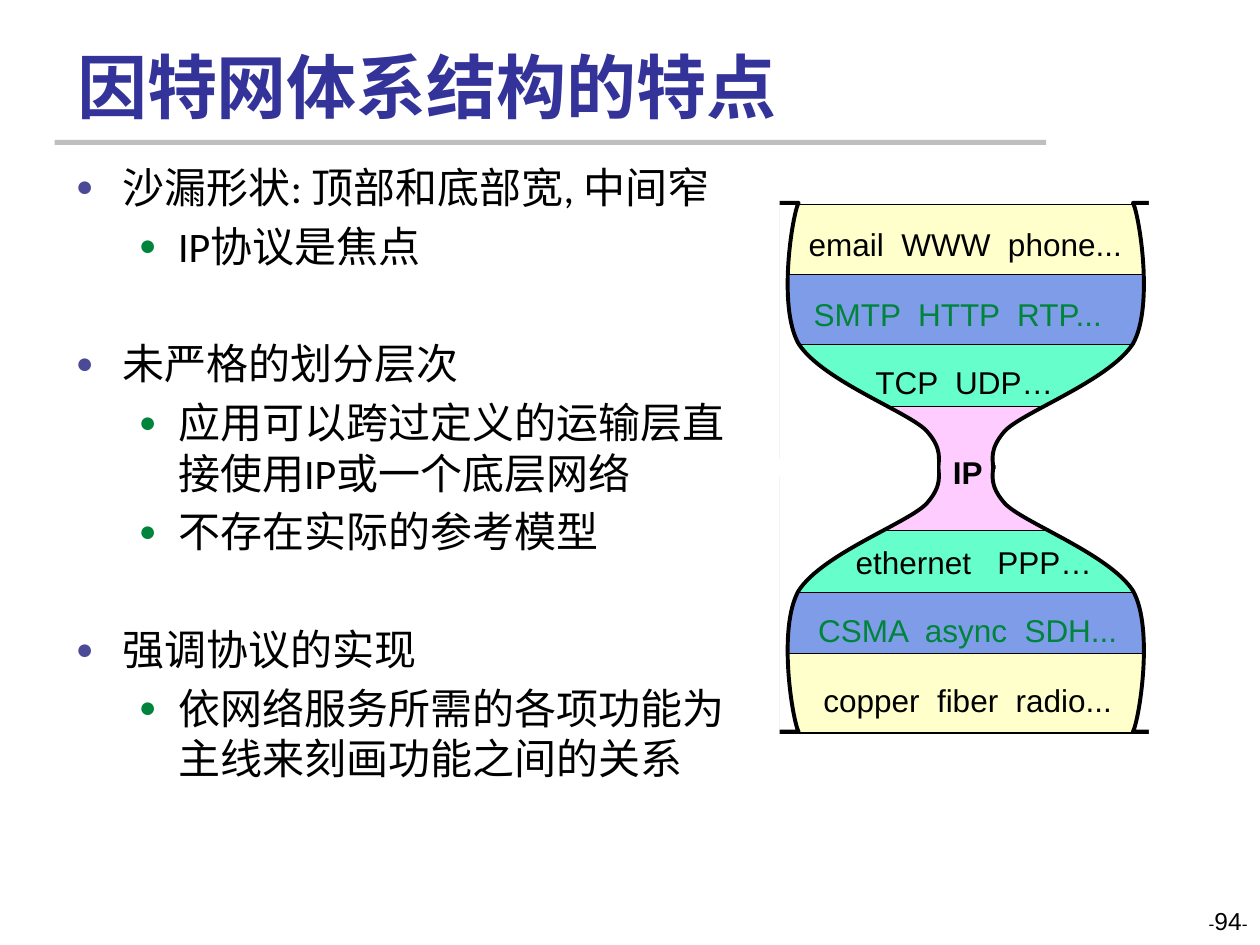
from dataclasses import dataclass

import lxml.etree
import pptx
import pptx.dml.color
import pptx.enum.lang
import pptx.enum.shapes
import pptx.enum.text
import pptx.oxml.ns
import pptx.util

Cm = pptx.util.Cm
Pt = pptx.util.Pt
qualified = pptx.oxml.ns.qn

COLORS = {
    "title": "333399",
    "rule": "BFBFBF",
    "bullet": "4A4A97",
    "green": "00843C",
    "black": "000000",
    "white": "FFFFFF",
    "cream": "FFFFCC",
    "blue": "7E9CE8",
    "mint": "66FFCC",
    "pink": "FFCCFF",
}


@dataclass
class Point:
    text: str
    level: int
    space_before: float = 4.8


@dataclass
class Layer:
    text: str
    height: float
    fill: str
    label_left: float
    label_top: float
    color: str = "black"
    bold: bool = False


POINTS = [
    Point("沙漏形状: 顶部和底部宽, 中间窄", 0, 0),
    Point("IP协议是焦点", 1),
    Point("未严格的划分层次", 0, 38.5),
    Point("应用可以跨过定义的运输层直接使用IP或一个底层网络", 1),
    Point("不存在实际的参考模型", 1),
    Point("强调协议的实现", 0, 38.5),
    Point("依网络服务所需的各项功能为主线来刻画功能之间的关系", 1),
]
BULLET_STYLES = [("bullet", 0.95, 0.95), ("green", 2.06, 0.79)]

LAYERS = [
    Layer("email  WWW  phone...", 1.41, "cream", 15.23, 4.22),
    Layer("SMTP  HTTP  RTP...", 1.41, "blue", 15.08, 5.63, "green"),
    Layer("TCP  UDP…", 1.25, "mint", 15.21, 7.01),
    Layer("IP", 2.49, "pink", 15.28, 8.81, bold=True),
    Layer("ethernet   PPP…", 1.25, "mint", 15.4, 10.63),
    Layer("CSMA  async  SDH...", 1.24, "blue", 15.28, 12.01, "green"),
    Layer("copper  fiber  radio...", 1.6, "cream", 15.28, 13.41),
]

AXIS_X, MIDDLE_Y = 19.47, 9.42
HALF_WIDTH, HALF_HEIGHT = 3.8, 5.33
GLASS_START = (3.37, HALF_HEIGHT)
GLASS_CURVES = [
    ((3.49, 5.11), (HALF_WIDTH, 3.25), (3.37, 2.49)),
    ((2.88, 1.73), (1.08, 1.09), (0.77, 0.71)),
    ((0.47, 0.36), (0.55, 0.15), (0.55, 0)),
]


def rgb(name: str) -> pptx.dml.color.RGBColor:
    return pptx.dml.color.RGBColor.from_string(COLORS[name])


def paint(shape, fill: str, line_width: float = 0) -> None:
    shape.shadow.inherit = False
    shape.fill.solid()
    shape.fill.fore_color.rgb = rgb(fill)
    if line_width:
        shape.line.color.rgb = rgb("black")
        shape.line.width = Pt(line_width)
    else:
        shape.line.fill.background()


def add_rectangle(shapes, left: float, top: float, width: float, height: float,
                  fill: str, line_width: float = 0) -> None:
    shape = shapes.add_shape(pptx.enum.shapes.MSO_SHAPE.RECTANGLE,
                             Cm(left), Cm(top), Cm(width), Cm(height))
    paint(shape, fill, line_width)


def add_text_frame(shapes, left: float, top: float, width: float, height: float):
    text_frame = shapes.add_textbox(Cm(left), Cm(top), Cm(width), Cm(height)).text_frame
    text_frame.word_wrap = True
    return text_frame


def add_run(paragraph, text: str, size: float, font_name: str,
            color: str = "black", bold: bool = False, chinese: bool = False) -> None:
    run = paragraph.add_run()
    run.text = text
    run.font.size = Pt(size)
    run.font.name = font_name
    run.font.bold = bold
    run.font.color.rgb = rgb(color)
    if chinese:
        run.font.language_id = pptx.enum.lang.MSO_LANGUAGE_ID.SIMPLIFIED_CHINESE


def add_bullet(paragraph, level: int) -> None:
    color, margin, hanging = BULLET_STYLES[level]
    properties = paragraph._p.get_or_add_pPr()
    properties.set("marL", str(Cm(margin)))
    properties.set("indent", str(-Cm(hanging)))
    bullet_color = lxml.etree.SubElement(properties, qualified("a:buClr"))
    lxml.etree.SubElement(bullet_color, qualified("a:srgbClr"), val=COLORS[color])
    lxml.etree.SubElement(properties, qualified("a:buSzPct"), val="70000")
    lxml.etree.SubElement(properties, qualified("a:buFont"), typeface="Arial")
    lxml.etree.SubElement(properties, qualified("a:buChar"), char="●")


def add_title(slide) -> None:
    title = slide.shapes.title
    title.left, title.top, title.width, title.height = Cm(1.3), Cm(0.71), Cm(20.96), Cm(1.98)
    text_frame = title.text_frame
    text_frame.auto_size = pptx.enum.text.MSO_AUTO_SIZE.NONE
    text_frame.vertical_anchor = pptx.enum.text.MSO_ANCHOR.BOTTOM
    paragraph = text_frame.paragraphs[0]
    paragraph.alignment = pptx.enum.text.PP_ALIGN.LEFT
    add_run(paragraph, "因特网体系结构的特点", 40, "Calibri", "title", True, True)


def add_points(slide) -> None:
    text_frame = add_text_frame(slide.shapes, 1.28, 3.13, 13.79, 14.81)
    for index, point in enumerate(POINTS):
        paragraph = text_frame.add_paragraph() if index else text_frame.paragraphs[0]
        paragraph.level = point.level
        add_bullet(paragraph, point.level)
        paragraph.space_before = Pt(point.space_before)
        add_run(paragraph, point.text, 24, "Calibri", chinese=True)


def bend_segments(shape, curve_count: int) -> None:
    segments = list(shape._element.iter(qualified("a:lnTo")))
    for first in range(0, 3 * curve_count, 3):
        curve = lxml.etree.Element(qualified("a:cubicBezTo"))
        segments[first].addprevious(curve)
        for segment in segments[first:first + 3]:
            curve.append(segment[0])
            segment.getparent().remove(segment)


def add_glass_corner(shapes, side: int, half: int) -> None:
    outline = [GLASS_START, *(point for curve in GLASS_CURVES for point in curve),
               (HALF_WIDTH, 0), (HALF_WIDTH, HALF_HEIGHT), GLASS_START]
    points = [(Cm(AXIS_X + side * x), Cm(MIDDLE_Y + half * y)) for x, y in outline]
    builder = shapes.build_freeform(*points[0])
    builder.add_line_segments(points[1:], close=True)
    corner = builder.convert_to_shape()
    bend_segments(corner, len(GLASS_CURVES))
    paint(corner, "white", 2.25)


def add_hourglass(slide) -> None:
    shapes = slide.shapes.add_group_shape().shapes
    top = 4.13
    for layer in LAYERS:
        add_rectangle(shapes, AXIS_X - HALF_WIDTH, top, 2 * HALF_WIDTH, layer.height,
                      layer.fill, 0.75)
        top += layer.height
    for side in (-1, 1):
        for half in (-1, 1):
            add_glass_corner(shapes, side, half)
    for left in (15.5, 23.16):
        add_rectangle(shapes, left, 3.91, 0.22, 11.02, "white")
    for left in (15.49, 20.07):
        add_rectangle(shapes, left, 9.25, 3.4, 0.36, "white")
    for layer in LAYERS:
        text_frame = add_text_frame(shapes, layer.label_left, layer.label_top, 8.46, 1.22)
        paragraph = text_frame.paragraphs[0]
        paragraph.alignment = pptx.enum.text.PP_ALIGN.CENTER
        paragraph.line_spacing = 1.25
        add_run(paragraph, layer.text, 18, "Arial", layer.color, layer.bold)


def add_page_number(slide) -> None:
    paragraph = add_text_frame(slide.shapes, 19.48, 18.13, 5.92, 1.27).paragraphs[0]
    paragraph.alignment = pptx.enum.text.PP_ALIGN.RIGHT
    for text, size in (("-", 10), ("94", 14), ("-", 10)):
        add_run(paragraph, text, size, "Arial")


def main() -> None:
    presentation = pptx.Presentation()
    presentation.slide_width, presentation.slide_height = Cm(25.4), Cm(19.05)
    slide = presentation.slides.add_slide(presentation.slide_layouts[5])
    add_rectangle(slide.shapes, 1.1, 2.82, 19.99, 0.1, "rule")
    add_page_number(slide)
    add_title(slide)
    add_points(slide)
    add_hourglass(slide)
    presentation.save("out.pptx")


if __name__ == "__main__":
    main()
